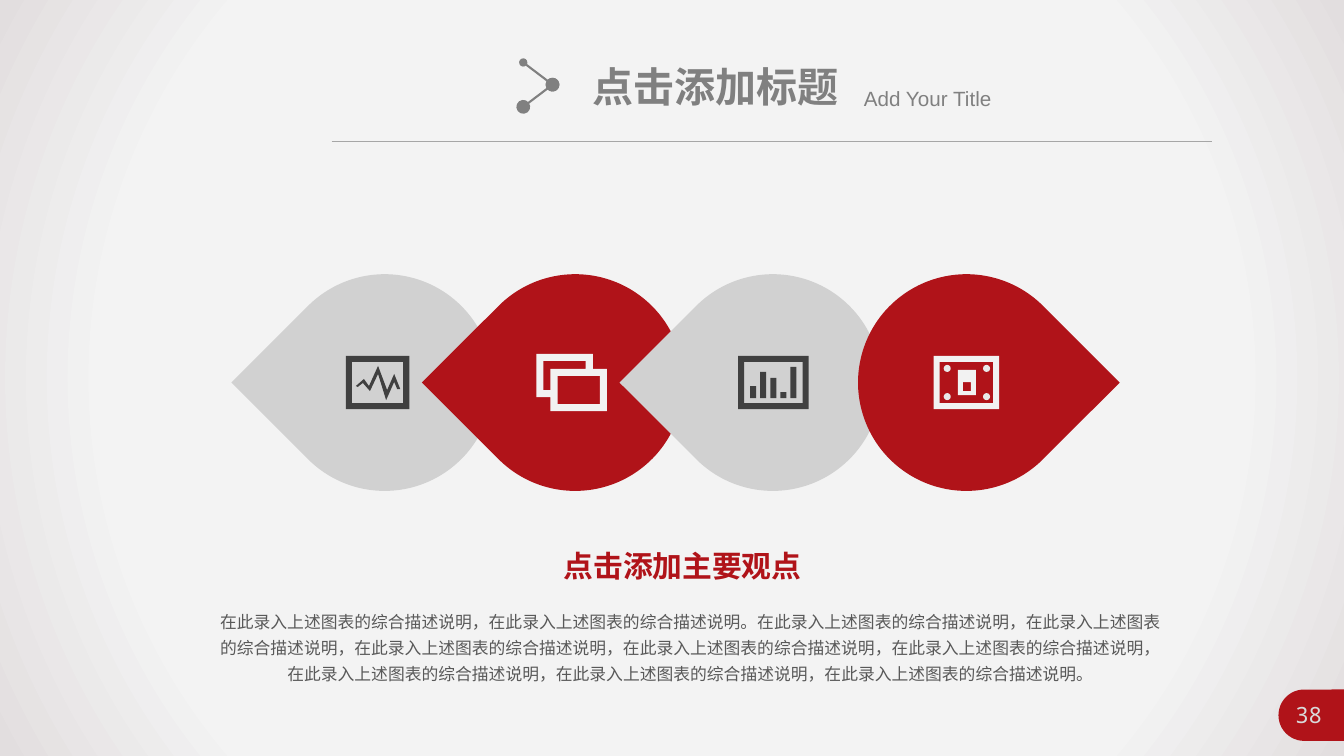
"""Build a slide of four overlapping teardrops with icons, a heading and a summary."""
from lxml import etree
from pptx import Presentation
from pptx.dml.color import RGBColor
from pptx.enum.shapes import MSO_CONNECTOR, MSO_SHAPE
from pptx.enum.text import MSO_ANCHOR, MSO_AUTO_SIZE, PP_ALIGN
from pptx.oxml import parse_xml
from pptx.oxml.ns import nsdecls, qn
from pptx.util import Pt

STRAIGHT = MSO_CONNECTOR.STRAIGHT
TEARDROP, RECT, OVAL = MSO_SHAPE.TEAR, MSO_SHAPE.RECTANGLE, MSO_SHAPE.OVAL
ROUND_TOP = MSO_SHAPE.ROUND_2_SAME_RECTANGLE
LEFT, CENTER = PP_ALIGN.LEFT, PP_ALIGN.CENTER
TOP, GROW = MSO_ANCHOR.TOP, MSO_AUTO_SIZE.SHAPE_TO_FIT_TEXT

PX = 9144
CJK, LATIN, MONO = "Noto Sans CJK SC", "Arial", "Noto Sans Mono"
RED, SILVER, DARK, PALE, GRAY = "B01319", "D1D1D1", "404040", "F2F2F2", "808080"
DOT_COLOR = "E9E9E9"
BACKDROP = [(0, "F5F5F5"), (73, "F3F3F3"), (100, "E2DEDF")]

TITLE = ("点击添加标题", (578, 56, 267, 59), LATIN, 29.3, GRAY, True, LEFT, False)
PHRASE = "在此录入上述图表的综合描述说明"
SUMMARY = f"{PHRASE}，{PHRASE}。" + f"{PHRASE}，" * 7 + f"{PHRASE}。"
TEXTS = [
    ("Add Your Title", (847, 80, 252, 35), LATIN, 14.7, GRAY, False, LEFT, True),
    ("点击添加主要观点", (547, 538, 260, 46), CJK, 21.3, RED, True, CENTER, False),
    (SUMMARY, (207, 596, 956, 89), CJK, 12, "595959", False, CENTER, True),
    ("38", (1265, 691, 66, 37), MONO, 16, "D9D9D9", False, CENTER, True),
]
LINES = [
    ((329, 140), (1202, 140), "A6A6A6", 0.5, None, None),
    ((519, 62), (548, 84), GRAY, 1.5, "med", "lg"),
    ((548, 84), (519, 106), GRAY, 1.5, "lg", "lg"),
]

DROP_TOP, DROP_SIZE = 272, 215
BAR_HEIGHTS = [12, 26, 20, 6, 31]
BAR_LEFT, BAR_BASE, BAR_WIDTH, BAR_STEP = 744, 395, 6, 10
PULSE = [(356, 383), (360, 380), (367, 388), (375, 371), (383, 397), (391, 379),
         (394, 386), (397, 386), (391, 371), (384, 387), (375, 363), (366, 383),
         (361, 376), (353, 383), (355, 384)]
WINDOWS_EDGE = [(588, 366), (588, 351), (532, 351), (532, 394), (546, 394),
                (546, 408), (602, 408), (602, 366)]
WINDOWS_BACK = [(539, 387), (539, 358), (581, 358), (581, 366), (546, 366), (546, 387)]


def box_outline(left, top, right, bottom):
    return [(left, top), (left, bottom), (right, bottom), (right, top)]


def frame(left, top, right, bottom, edge):
    inner = box_outline(left + edge, top + edge, right - edge, bottom - edge)
    return [box_outline(left, top, right, bottom), inner]


BARS = [(RECT, (BAR_LEFT + i * BAR_STEP, BAR_BASE - h, BAR_WIDTH, h), DARK)
        for i, h in enumerate(BAR_HEIGHTS)]
DOTS = [(OVAL, (x, y, 7, 7), DOT_COLOR) for y in (362, 390) for x in (936, 975)]
DROPS = [
    (274, 225, SILVER, DARK, [[PULSE], frame(343, 353, 406, 406, 6)], []),
    (463, 225, RED, PALE,
     [[WINDOWS_EDGE, WINDOWS_BACK, box_outline(553, 373, 595, 401)]], []),
    (659, 225, SILVER, DARK, [frame(732, 353, 802, 406, 6)], BARS),
    (851, 45, RED, PALE,
     [frame(926, 353, 991, 406, 6),
      [box_outline(950, 367, 968, 392), box_outline(955, 379, 963, 388)]], DOTS),
]


def rgb(value):
    return RGBColor.from_string(value)


def emu(lengths):
    return [n * PX for n in lengths]


def paint(sp, color):
    sp.shadow.inherit = False
    sp.fill.solid()
    sp.fill.fore_color.rgb = rgb(color)
    sp.line.fill.background()


def add_preset(shapes, kind, box, color, rotation=0):
    sp = shapes.add_shape(kind, *emu(box))
    paint(sp, color)
    sp.rotation = rotation
    return sp


def add_outline(shapes, contours, color):
    builder = shapes.build_freeform(*contours[0][0], scale=PX)
    for i, points in enumerate(contours):
        if i:
            builder.move_to(*points[0])
        builder.add_line_segments(points[1:], close=True)
    paint(builder.convert_to_shape(), color)


def add_line(shapes, start, end, color, width, head, tail):
    line = shapes.add_connector(STRAIGHT, *emu(start + end))
    line.line.color.rgb = rgb(color)
    line.line.width = Pt(width)
    ln = line.line._get_or_add_ln()
    for tag, size in (("a:headEnd", head), ("a:tailEnd", tail)):
        if size:
            etree.SubElement(ln, qn(tag), type="oval", w=size, len=size)
    etree.SubElement(line._element.spPr, qn("a:effectLst"))


def write(sp, text, box, font, size, color, bold, align, wrap):
    sp.left, sp.top, sp.width, sp.height = emu(box)
    tf = sp.text_frame
    tf.text = text
    tf.word_wrap = wrap
    tf.auto_size = GROW
    tf.vertical_anchor = TOP
    p = tf.paragraphs[0]
    p.alignment = align
    r = p.runs[0]
    r.font.name, r.font.size, r.font.bold = font, Pt(size), bold
    r.font.color.rgb = rgb(color)
    r.font._element.find(qn("a:latin")).addnext(
        parse_xml(f'<a:ea {nsdecls("a")} typeface="{CJK}"/>'))
    return p


def set_backdrop(s):
    s.background.fill.gradient()
    stops = "".join(f'<a:gs pos="{pos * 1000}"><a:srgbClr val="{color}"/></a:gs>'
                    for pos, color in BACKDROP)
    grad = s._element.find(".//" + qn("a:gradFill"))
    grad.getparent().replace(grad, parse_xml(
        f'<a:gradFill {nsdecls("a")} rotWithShape="1"><a:gsLst>{stops}</a:gsLst>'
        '<a:path path="circle"><a:fillToRect l="50000" t="50000" r="50000" b="50000"/>'
        '</a:path></a:gradFill>'))


def main():
    prs = Presentation()
    prs.slide_width, prs.slide_height = emu((1333, 750))
    s = prs.slides.add_slide(prs.slide_layouts[5])
    set_backdrop(s)
    write(s.shapes.title, *TITLE)
    for line in LINES:
        add_line(s.shapes, *line)
    badge = add_preset(s.shapes, ROUND_TOP, (1275, 677, 51, 65), RED, 270)
    badge.adjustments[0] = 0.5
    for left, rotation, color, icon_color, outlines, details in DROPS:
        group = s.shapes.add_group_shape().shapes
        add_preset(group, TEARDROP, (left, DROP_TOP, DROP_SIZE, DROP_SIZE), color, rotation)
        for contours in outlines:
            add_outline(group, contours, icon_color)
        for detail in details:
            add_preset(group, *detail)
    for text in TEXTS:
        p = write(s.shapes.add_textbox(0, 0, PX, PX), *text)
        if text[0] == SUMMARY:
            p.line_spacing = 1.3
    prs.save("out.pptx")


if __name__ == "__main__":
    main()
